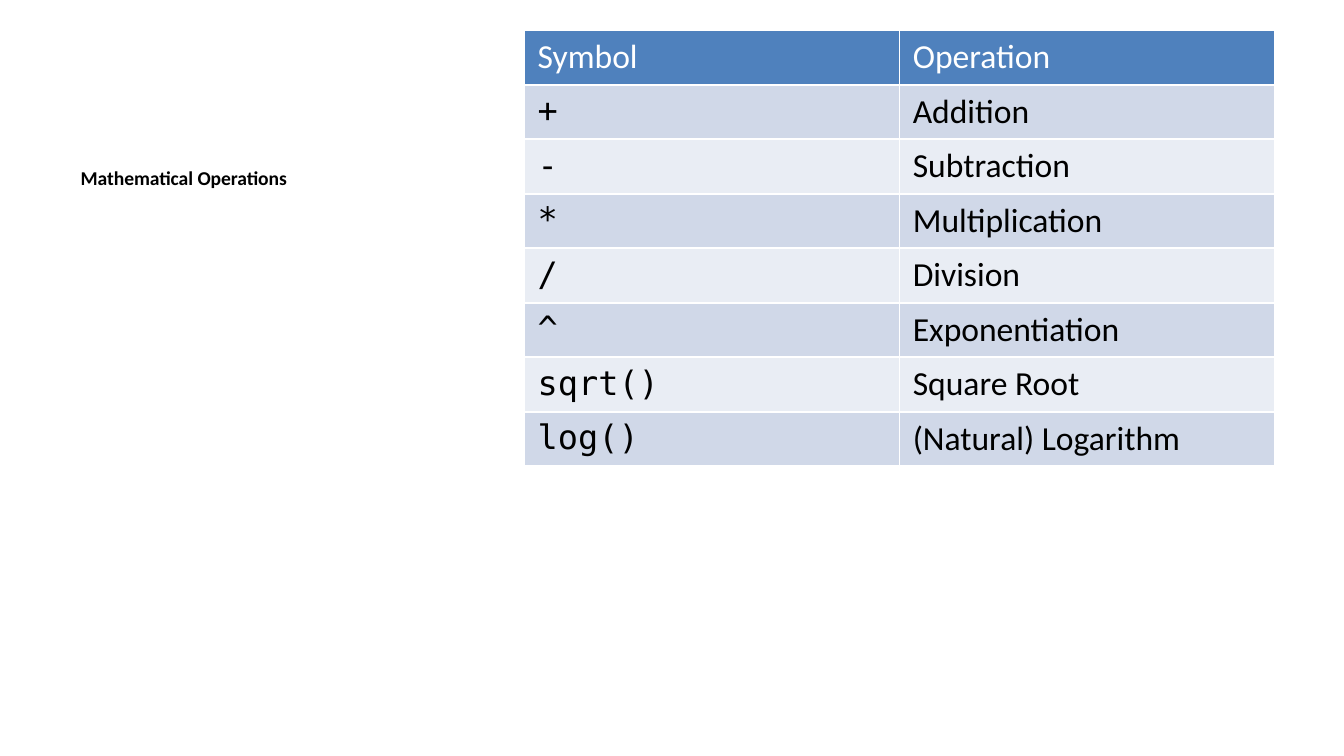
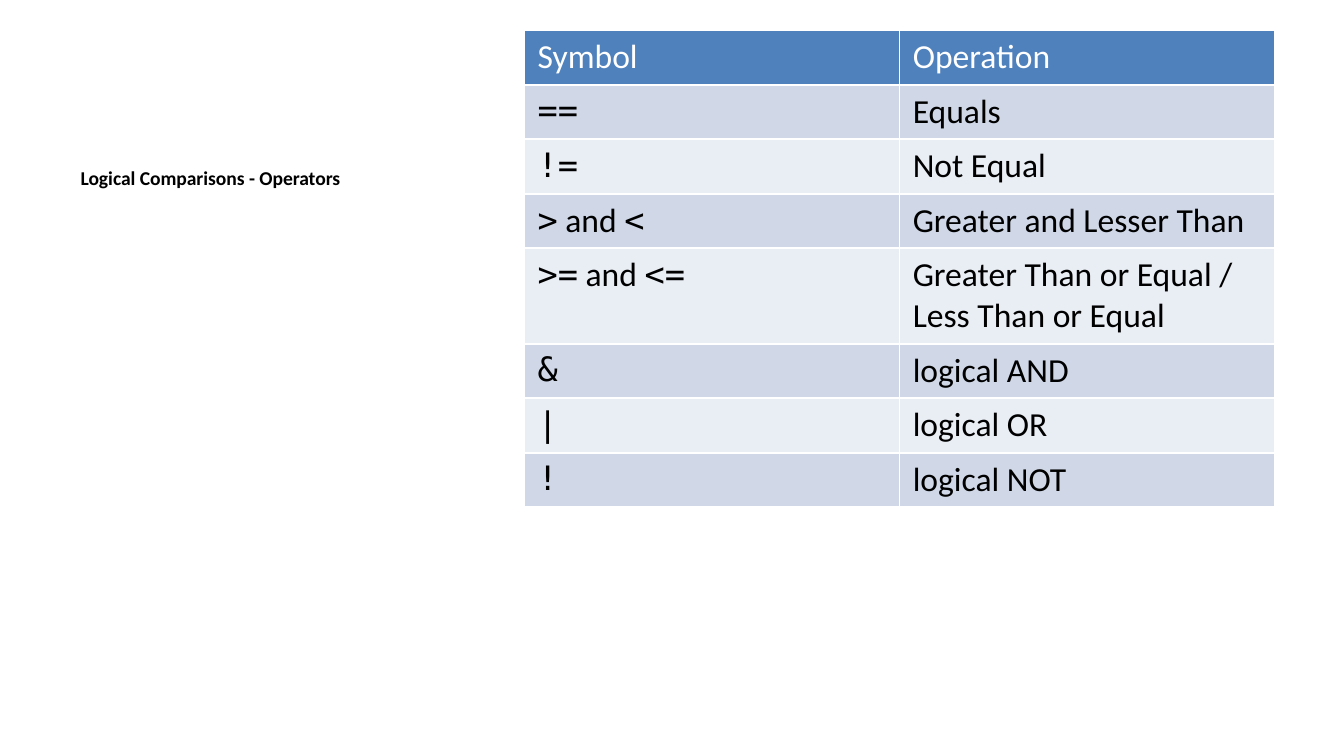
from dataclasses import dataclass

from pptx import Presentation
from pptx.dml.color import RGBColor
from pptx.enum.text import MSO_ANCHOR, MSO_AUTO_SIZE, PP_ALIGN
from pptx.util import Inches, Pt

SLIDE_WIDTH = Inches(10)
SLIDE_HEIGHT = SLIDE_WIDTH * 9 // 16
GRID = 100  # columns and rows across the slide
TITLE_ONLY = 5
JOINER = " and "


@dataclass(frozen=True)
class Theme:
    background: RGBColor = RGBColor.from_string("FFFFFF")
    ink: RGBColor = RGBColor.from_string("000000")
    header_ink: RGBColor = RGBColor.from_string("FFFFFF")
    header_fill: RGBColor = RGBColor.from_string("4F81BD")
    row_fills: tuple = (RGBColor.from_string("D0D8E8"), RGBColor.from_string("E9EDF4"))
    body_font: str = "Calibri"
    code_font: str = "DejaVu Sans Mono"
    title_size: float = 10.5
    title_space: float = 30
    table_size: float = 18


@dataclass(frozen=True)
class Area:
    column: float
    row: float
    columns: float
    rows: float

    def box(self) -> tuple:
        x, y = SLIDE_WIDTH / GRID, SLIDE_HEIGHT / GRID
        return (round(self.column * x), round(self.row * y),
                round(self.columns * x), round(self.rows * y))


@dataclass(frozen=True)
class Operator:
    operation: str
    symbols: tuple


@dataclass(frozen=True)
class OperatorSlide:
    title: str
    operators: tuple


THEME = Theme()
TITLE_AREA = Area(5, 21, 32.9, 68.5)
TABLE_AREA = Area(39, 4, 55.84, 85.2)
HEADINGS = ("Symbol", "Operation")

SLIDES = (
    OperatorSlide("Mathematical Operations", (
        Operator("Addition", ("+",)),
        Operator("Subtraction", ("-",)),
        Operator("Multiplication", ("*",)),
        Operator("Division", ("/",)),
        Operator("Exponentiation", ("^",)),
        Operator("Square Root", ("sqrt()",)),
        Operator("(Natural) Logarithm", ("log()",)),
    )),
    OperatorSlide("Logical Comparisons - Operators", (
        Operator("Equals", ("==",)),
        Operator("Not Equal", ("!=",)),
        Operator("Greater and Lesser Than", (">", "<")),
        Operator("Greater Than or Equal / Less Than or Equal", (">=", "<=")),
        Operator("logical AND", ("&",)),
        Operator("logical OR", ("|",)),
        Operator("logical NOT", ("!",)),
    )),
)


def style_font(font, name: str, size: float, color: RGBColor, bold: bool = False) -> None:
    font.name, font.size, font.bold = name, Pt(size), bold
    font.color.rgb = color


def draw_title(slide, wording: str) -> None:
    title = slide.shapes.title
    title.left, title.top, title.width, title.height = TITLE_AREA.box()
    frame = title.text_frame
    frame.text = wording
    frame.word_wrap = True
    frame.auto_size = MSO_AUTO_SIZE.NONE
    frame.vertical_anchor = MSO_ANCHOR.TOP
    paragraph = frame.paragraphs[0]
    paragraph.alignment = PP_ALIGN.LEFT
    paragraph.space_before = Pt(THEME.title_space)
    style_font(paragraph.font, THEME.body_font, THEME.title_size, THEME.ink, bold=True)


def fill_cell(cell, wording: str, fill: RGBColor, ink: RGBColor, font: str) -> None:
    cell.fill.solid()
    cell.fill.fore_color.rgb = fill
    paragraph = cell.text_frame.paragraphs[0]
    style_font(paragraph.font, font, THEME.table_size, ink)
    # Symbols are set as code, the word between them as body text
    if font == THEME.code_font and JOINER in wording:
        first, second = wording.split(JOINER)
        for part, part_font in ((first, font), (JOINER, THEME.body_font), (second, font)):
            run = paragraph.add_run()
            run.text = part
            style_font(run.font, part_font, THEME.table_size, ink)
    else:
        paragraph.add_run().text = wording


def draw_operators(slide, operators: tuple) -> None:
    frame = slide.shapes.add_table(len(operators) + 1, len(HEADINGS), *TABLE_AREA.box())
    table = frame.table

    # Header
    for column, heading in enumerate(HEADINGS):
        fill_cell(table.cell(0, column), heading, THEME.header_fill,
                  THEME.header_ink, THEME.body_font)

    # Banded operator rows
    for row, operator in enumerate(operators, start=1):
        fill = THEME.row_fills[(row - 1) % 2]
        fill_cell(table.cell(row, 0), JOINER.join(operator.symbols), fill,
                  THEME.ink, THEME.code_font)
        fill_cell(table.cell(row, 1), operator.operation, fill,
                  THEME.ink, THEME.body_font)

    # Rows grow to fit their text
    for table_row in table.rows:
        table_row.height = 0
    frame.height = TABLE_AREA.box()[3]


def main() -> None:
    deck = Presentation()
    deck.slide_width, deck.slide_height = SLIDE_WIDTH, SLIDE_HEIGHT
    for content in SLIDES:
        slide = deck.slides.add_slide(deck.slide_layouts[TITLE_ONLY])
        slide.background.fill.solid()
        slide.background.fill.fore_color.rgb = THEME.background
        draw_title(slide, content.title)
        draw_operators(slide, content.operators)
    deck.save("out.pptx")


if __name__ == "__main__":
    main()
